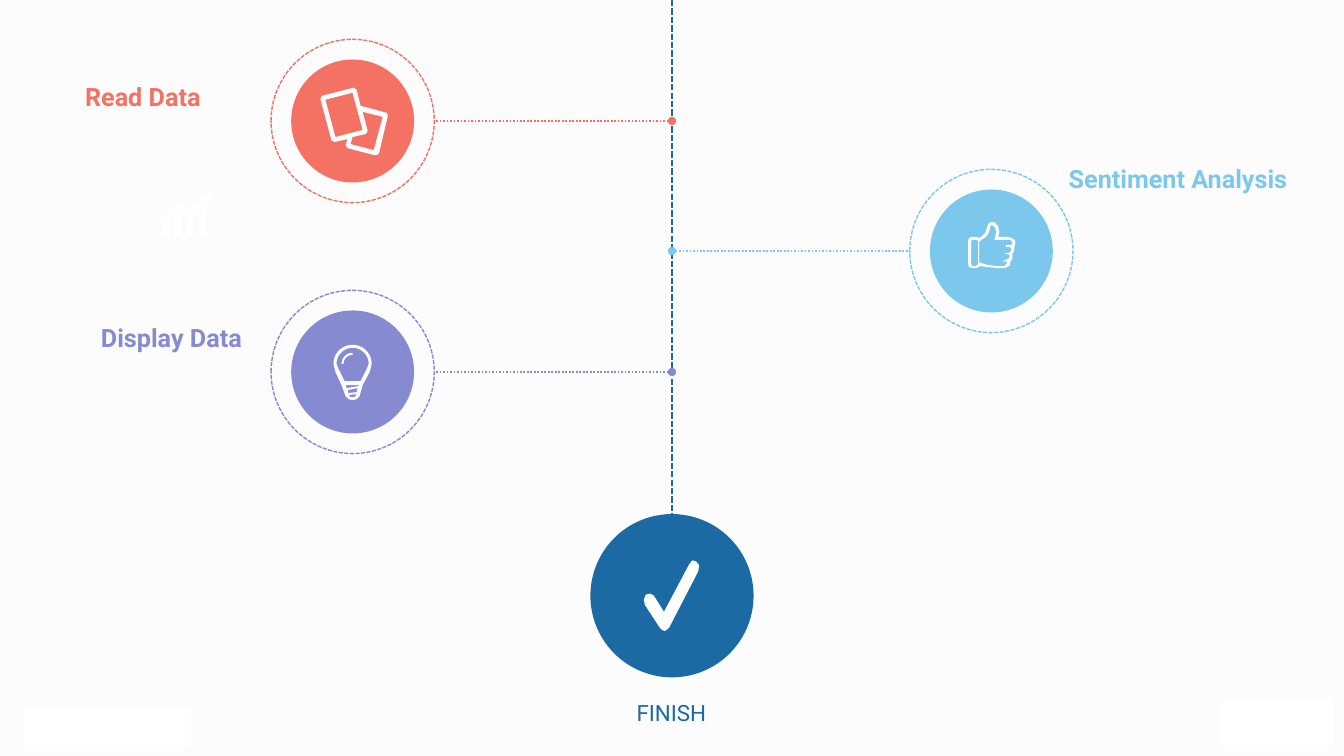
import math

import pptx
import pptx.dml.color
import pptx.enum.dml
import pptx.enum.shapes
import pptx.enum.text
import pptx.oxml
import pptx.oxml.ns
import pptx.util

Inches = pptx.util.Inches
Pt = pptx.util.Pt
RGB = pptx.dml.color.RGBColor.from_string
SHAPE = pptx.enum.shapes.MSO_SHAPE
DASH = pptx.enum.dml.MSO_LINE
ALIGN = pptx.enum.text.PP_ALIGN

COLORS = {
    "back": "FCFCFC",
    "white": "FFFFFF",
    "finish": "1B6AA3",
    "read": "F47264",
    "sentiment": "7CC8EC",
    "display": "868AD1",
}

prs = pptx.Presentation()
prs.slide_width = Inches(13.34)
prs.slide_height = Inches(7.5)
s = prs.slides.add_slide(prs.slide_layouts[6])
s.background.fill.solid()
s.background.fill.fore_color.rgb = RGB(COLORS["back"])


def add_text(text, x, y, w, h, color, size=18, bold=True, align=ALIGN.LEFT):
    tf = s.shapes.add_textbox(Inches(x), Inches(y), Inches(w), Inches(h)).text_frame
    tf.word_wrap = False
    tf.auto_size = pptx.enum.text.MSO_AUTO_SIZE.SHAPE_TO_FIT_TEXT
    p = tf.paragraphs[0]
    p.alignment = align
    r = p.add_run()
    r.text = text
    r.font.name = "Roboto"
    r.font.size = Pt(size)
    r.font.bold = bold
    r.font.color.rgb = RGB(COLORS[color])


def add_icon(outlines, color):
    outlines = [[(Inches(x), Inches(y)) for x, y in outline] for outline in outlines]
    fb = s.shapes.build_freeform(*outlines[0][0])
    fb.add_line_segments(outlines[0][1:], close=True)
    for outline in outlines[1:]:
        fb.move_to(*outline[0])
        fb.add_line_segments(outline[1:], close=True)
    sp = fb.convert_to_shape()
    sp.shadow.inherit = False
    sp.fill.solid()
    sp.fill.fore_color.rgb = RGB(COLORS[color])
    sp.line.fill.background()


spine_x = 6.67
steps = [
    ("sentiment", 9.84, 2.49),
    ("display", 3.5, 3.69),
    ("read", 3.5, 1.2),
]
ring_r, disc_r = 0.81, 0.61

lines = [("finish", (spine_x, 0), (spine_x, 5.1), 1.5, DASH.SQUARE_DOT)]
for color, x, y in steps:
    edge = x - ring_r if x > spine_x else x + ring_r
    lines.append((color, (spine_x, y), (edge, y), 1.25, DASH.ROUND_DOT))

for color, start, end, width, dash in lines:
    cx = s.shapes.add_connector(
        pptx.enum.shapes.MSO_CONNECTOR.STRAIGHT, *map(Inches, start + end))
    cx.line.color.rgb = RGB(COLORS[color])
    cx.line.width = Pt(width)
    cx.line.dash_style = dash
    if color != "finish":
        ln = cx.line._get_or_add_ln()
        ln.append(pptx.oxml.parse_xml(
            "<a:headEnd %s type='oval'/>" % pptx.oxml.ns.nsdecls("a")))
    cx._element.spPr.append(
        pptx.oxml.parse_xml("<a:effectLst %s/>" % pptx.oxml.ns.nsdecls("a")))

circles = [("finish", spine_x, 5.91, ring_r, True)]
for color, x, y in steps:
    circles += [(color, x, y, ring_r, False), (color, x, y, disc_r, True)]

for color, x, y, radius, filled in circles:
    sp = s.shapes.add_shape(SHAPE.OVAL, Inches(x - radius), Inches(y - radius),
                            Inches(2 * radius), Inches(2 * radius))
    sp.shadow.inherit = False
    if filled:
        sp.fill.solid()
        sp.fill.fore_color.rgb = RGB(COLORS[color])
        sp.line.fill.background()
    else:
        sp.fill.background()
        sp.line.color.rgb = RGB(COLORS[color])
        sp.line.width = Pt(1)
        sp.line.dash_style = DASH.SQUARE_DOT

check = [(6.6, 6.26), (6.57, 6.25), (6.55, 6.23), (6.4, 6), (6.39, 5.95),
         (6.41, 5.9), (6.45, 5.89), (6.49, 5.91), (6.59, 6.07), (6.84, 5.6),
         (6.87, 5.56), (6.91, 5.57), (6.94, 5.61), (6.93, 5.67), (6.64, 6.23)]
add_icon([check], "white")

bar_tops = [(1.61, 2.21, 2.16), (1.73, 2.12, 2.08), (1.85, 2.16, 2.13), (1.98, 2.09, 2.03)]
bars = [[(x, left), (x + 0.07, right), (x + 0.07, 2.35), (x, 2.35)]
        for x, left, right in bar_tops]
add_icon(bars, "white")
trend = [(2.1, 1.93), (2.08, 2.04), (2.05, 2), (1.87, 2.15), (1.79, 2.05), (1.61, 2.19),
         (1.59, 2.16), (1.79, 2), (1.82, 2.03), (1.87, 2.1), (2.02, 1.97), (1.99, 1.94)]
add_icon([trend], "white")

hand = [(10.04, 2.36), (9.99, 2.35), (9.91, 2.35), (9.92, 2.3), (9.91, 2.25), (9.88, 2.21),
        (9.84, 2.2), (9.81, 2.22), (9.8, 2.25), (9.78, 2.31), (9.74, 2.35), (9.72, 2.36),
        (9.69, 2.35), (9.65, 2.35), (9.62, 2.36), (9.61, 2.39), (9.61, 2.62), (9.62, 2.65),
        (9.65, 2.66), (9.69, 2.66), (9.73, 2.64), (9.8, 2.65), (9.89, 2.66), (9.97, 2.66),
        (10.02, 2.64), (10.03, 2.6), (10.05, 2.56), (10.05, 2.52), (10.07, 2.48),
        (10.07, 2.45), (10.08, 2.4), (10.07, 2.38)]
palm = [(10.05, 2.41), (10.04, 2.43), (9.99, 2.43), (9.98, 2.44), (9.99, 2.45),
        (10.02, 2.45), (10.04, 2.47), (10.03, 2.5), (10.01, 2.51), (9.98, 2.51),
        (9.97, 2.52), (10, 2.52), (10.02, 2.53), (10.02, 2.56), (9.98, 2.58),
        (9.95, 2.59), (9.98, 2.59), (10, 2.61), (9.97, 2.64), (9.89, 2.64), (9.81, 2.63),
        (9.74, 2.61), (9.72, 2.6), (9.72, 2.4), (9.74, 2.38), (9.79, 2.35), (9.82, 2.3),
        (9.83, 2.25), (9.84, 2.23), (9.87, 2.25), (9.89, 2.3), (9.87, 2.38), (10.03, 2.38)]
cuff = [(9.71, 2.62), (9.69, 2.64), (9.65, 2.64), (9.64, 2.62),
        (9.64, 2.39), (9.65, 2.38), (9.69, 2.38), (9.71, 2.39)]
add_icon([hand, palm, cuff], "back")

arc = [(math.cos(math.radians(a)), math.sin(math.radians(a))) for a in range(180, 361, 10)]
dome, glass, glint_out, glint_in = [
    [(3.5 + radius * c, 3.61 + radius * d) for c, d in arc]
    for radius in (0.19, 0.16, 0.11, 0.09)]
dome += [(3.67, 3.69), (3.6, 3.82), (3.57, 3.93), (3.54, 3.96), (3.5, 3.97),
         (3.46, 3.96), (3.43, 3.93), (3.39, 3.82), (3.33, 3.69)]
glass += [(3.64, 3.66), (3.61, 3.72), (3.58, 3.78), (3.42, 3.78), (3.39, 3.72), (3.36, 3.66)]
slots = [
    [(3.44, 3.85), (3.43, 3.82), (3.57, 3.82), (3.56, 3.83)],
    [(3.54, 3.89), (3.46, 3.9), (3.45, 3.87), (3.55, 3.85)],
    [(3.5, 3.94), (3.48, 3.94), (3.46, 3.92), (3.54, 3.91), (3.52, 3.94)],
]
add_icon([dome, glass] + slots, "back")
add_icon([glint_out[:10] + glint_in[9::-1]], "back")

add_text("FINISH", 6.22, 6.89, 0.89, 0.37, "finish", size=16, bold=False)
add_text("Read Data", 0.74, 0.76, 1.35, 0.4, "read", align=ALIGN.RIGHT)
add_text("Sentiment Analysis", 10.51, 1.57, 2.37, 0.4, "sentiment")
add_text("Display Data", 0.9, 3.15, 1.6, 0.4, "display", align=ALIGN.RIGHT)

cards = [(3.84, 1.12), (3.58, 1.05), (3.54, 0.89), (3.51, 0.87), (3.2, 0.95), (3.18, 0.98),
         (3.29, 1.39), (3.32, 1.41), (3.45, 1.38), (3.43, 1.44), (3.45, 1.47),
         (3.72, 1.54), (3.76, 1.53), (3.85, 1.15)]
front_card = [(3.23, 0.99), (3.5, 0.92), (3.6, 1.29), (3.33, 1.36)]
back_card = [(3.71, 1.49), (3.48, 1.43), (3.5, 1.36), (3.63, 1.33),
             (3.65, 1.3), (3.6, 1.11), (3.8, 1.16)]
add_icon([cards, front_card, back_card], "white")

for x, y, w, h in [(0.24, 7.01, 1.65, 0.39), (12.13, 6.93, 1.1, 0.47)]:
    sp = s.shapes.add_shape(SHAPE.RECTANGLE, Inches(x), Inches(y), Inches(w), Inches(h))
    sp.shadow.inherit = False
    sp.fill.solid()
    sp.fill.fore_color.rgb = RGB(COLORS["white"])
    sp.line.color.rgb = RGB(COLORS["white"])
    sp.line.width = Pt(0)

prs.save("out.pptx")
